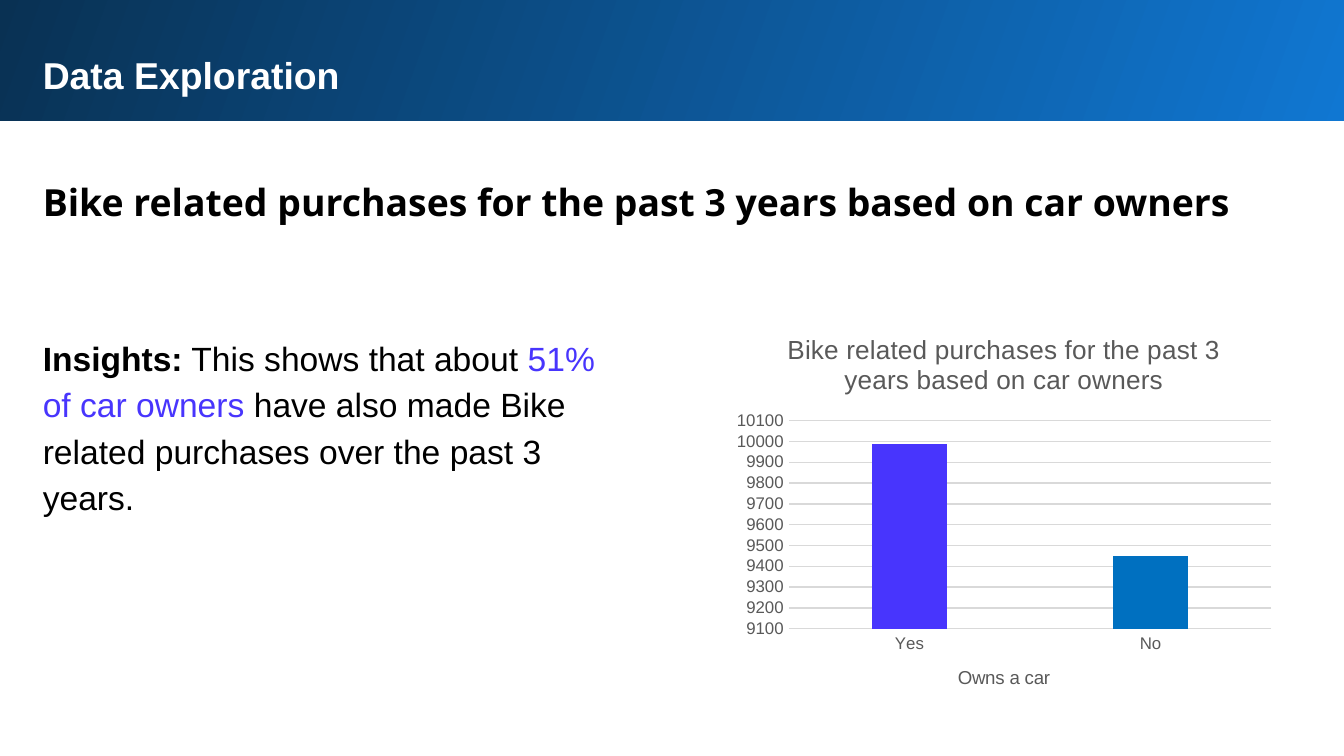
from pptx import Presentation
from pptx import util as u
from pptx.chart.data import CategoryChartData
from pptx.dml.color import RGBColor
from pptx.enum import chart as charts, shapes, text

WHITE = RGBColor(0xFF, 0xFF, 0xFF)
BLACK = RGBColor(0, 0, 0)
NAVY = RGBColor(0x09, 0x31, 0x53)
BRIGHT_BLUE = RGBColor(0x10, 0x77, 0xD2)
VIOLET = RGBColor(0x48, 0x35, 0xFD)
BLUE = RGBColor(0x00, 0x70, 0xC0)
GREY = RGBColor(0x59, 0x59, 0x59)
LIGHT_GREY = RGBColor(0xD9, 0xD9, 0xD9)

LEFT = 0.22
HEADING = "Bike related purchases for the past 3 years based on car owners"


def style_font(font, size, color, bold=False, name="Arial"):
    """Set typeface, size, colour and weight of a font."""
    font.name = name
    font.size = u.Pt(size)
    font.bold = bold
    font.color.rgb = color


def add_text(top, width, height, runs, size, name="Arial", spacing=None):
    """Add a one-paragraph text box from (words, colour, bold) runs."""
    box = slide.shapes.add_textbox(*map(u.Inches, (LEFT, top, width, height)))
    frame = box.text_frame
    frame.word_wrap = True
    frame.auto_size = text.MSO_AUTO_SIZE.SHAPE_TO_FIT_TEXT
    frame.margin_left = frame.margin_right = u.Inches(0.1)
    frame.margin_top = frame.margin_bottom = u.Inches(0.1)
    paragraph = frame.paragraphs[0]
    if spacing:
        paragraph.line_spacing = spacing
    for words, color, bold in runs:
        run = paragraph.add_run()
        run.text = words
        style_font(run.font, size, color, bold, name)


presentation = Presentation()
presentation.slide_width = u.Inches(10)
presentation.slide_height = presentation.slide_width * 9 // 16
slide = presentation.slides.add_slide(presentation.slide_layouts[6])

# Header band
band = slide.shapes.add_shape(
    shapes.MSO_SHAPE.RECTANGLE, *map(u.Inches, (-0.02, -0.02, 10.05, 0.92)))
band.shadow.inherit = False
band.line.fill.background()
band.fill.gradient()
band.fill.gradient_angle = 160
for stop, position, color in zip(band.fill.gradient_stops, (0, 1), (BRIGHT_BLUE, NAVY)):
    stop.position = position
    stop.color.rgb = color

# Texts
add_text(0.29, 9.37, 0.88, [("Data Exploration", WHITE, True)], 20)
add_text(1.18, 9.37, 0.56, [(HEADING, BLACK, True)], 20, "Open Sans", 1.15)
add_text(2.37, 4.52, 1.57, [
    ("Insights:", BLACK, True),
    (" This shows that about ", BLACK, False),
    ("51% of car owners", VIOLET, False),
    (" have also made Bike related purchases over the past 3 years.", BLACK, False),
], 18, spacing=1.15)

# Column chart
data = CategoryChartData()
data.categories = ["Yes", "No"]
data.add_series("Series 1", (9990, 9450))
chart = slide.shapes.add_chart(
    charts.XL_CHART_TYPE.COLUMN_CLUSTERED,
    *map(u.Inches, (5.4, 2.33, 4.14, 3)), data).chart
style_font(chart.font, 10, BLACK)
chart.has_legend = False

category_axis, value_axis = chart.category_axis, chart.value_axis
for titled, words, size in ((chart, HEADING, 14), (category_axis, "Owns a car", 10)):
    titled.has_title = True
    title_frame = (titled.chart_title if titled is chart else titled.axis_title).text_frame
    title_frame.text = words
    style_font(title_frame.paragraphs[0].font, size, GREY)

for axis in (category_axis, value_axis):
    axis.major_tick_mark = axis.minor_tick_mark = charts.XL_TICK_MARK.NONE
    style_font(axis.tick_labels.font, 9, GREY)
value_axis.minimum_scale = 9100
value_axis.maximum_scale = 10100
value_axis.major_unit = 100
value_axis.format.line.fill.background()
for line in (category_axis.format.line, value_axis.major_gridlines.format.line):
    line.color.rgb = LIGHT_GREY
    line.width = u.Pt(0.75)

plot = chart.plots[0]
plot.gap_width = 219
plot.overlap = -27
plot.vary_by_categories = False
series = plot.series[0]
series.format.fill.solid()
series.format.fill.fore_color.rgb = BLUE
for point, color in zip(series.points, (VIOLET, BLUE)):
    point.format.fill.solid()
    point.format.fill.fore_color.rgb = color

presentation.save("out.pptx")
